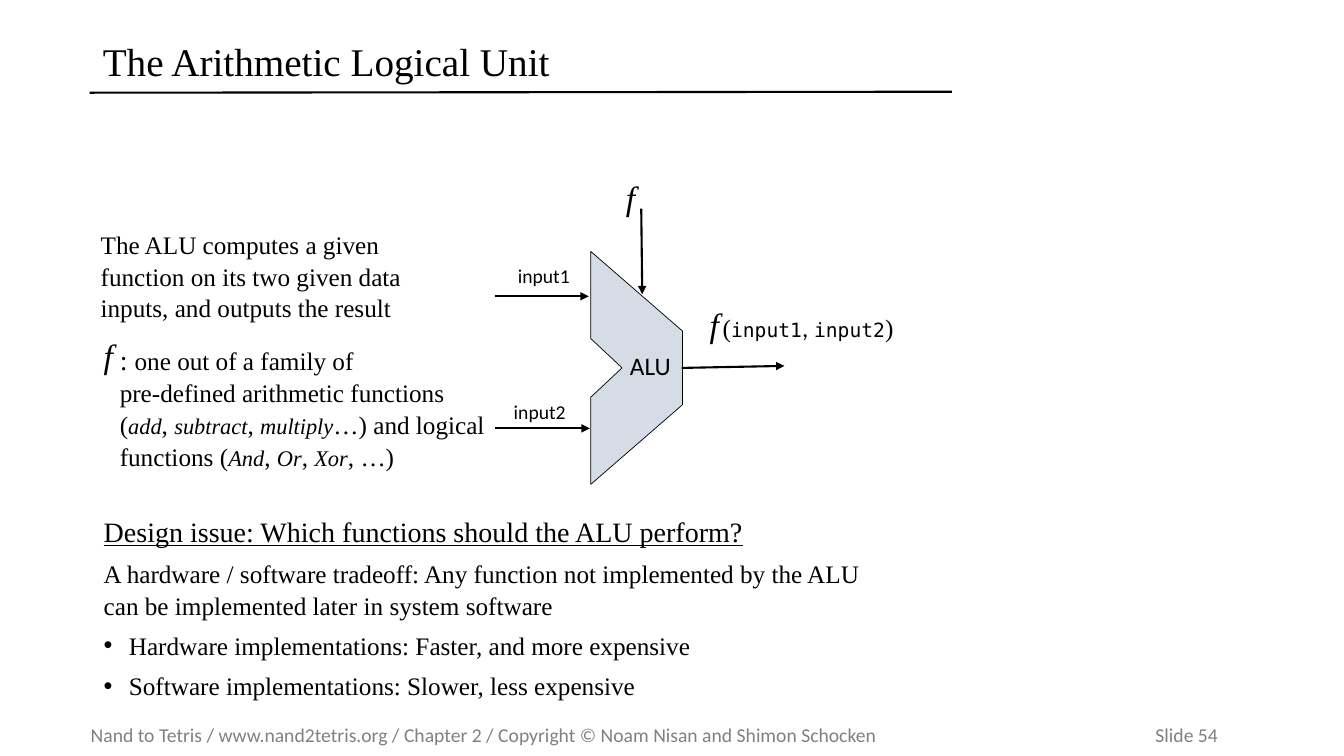
from lxml import etree
from pptx import Presentation
from pptx.dml.color import RGBColor
from pptx.enum.shapes import MSO_CONNECTOR
from pptx.enum.text import MSO_ANCHOR, PP_ALIGN
from pptx.oxml.ns import qn
from pptx.util import Inches, Pt

LEFT, RIGHT, MIDDLE = PP_ALIGN.LEFT, PP_ALIGN.RIGHT, MSO_ANCHOR.MIDDLE
STRAIGHT = MSO_CONNECTOR.STRAIGHT
WIDE, HIGH = 13.33, 7.5
COLOR = {"ink": "000000", "gray": "808080", "unit": "D6DCE5"}
SERIF, SANS, MONO = "Times New Roman", "Calibri", "DejaVu Sans Mono"

# A run is (text, size, font, style); style letters: i italic, u underline.
TITLE = ("The Arithmetic Logical Unit", 28, SERIF, "")
FOOTER = ("Nand to Tetris / www.nand2tetris.org / Chapter 2 / "
          "Copyright © Noam Nisan and Shimon Schocken\tSlide 54", 14, SANS, "")
FUNC = ("f", 24, SERIF, "i")


def serif(text, size=18, style=""):
    return text, size, SERIF, style


def terms(*names):
    """Small italic names with upright commas between them."""
    runs = []
    for name in names:
        runs += [serif(", ")] if runs else []
        runs.append(serif(name, 16, "i"))
    return runs


INTRO = [serif("The ALU computes a given function on its two given data "
               "inputs, and outputs the result")]
FAMILY = [serif(": ", 20),
          serif("one out of a family of\npre-defined arithmetic functions ("),
          *terms("add", "subtract", "multiply"),
          serif("…) and logical functions ("),
          *terms("And", "Or", "Xor"), serif(", …)")]
RESULT = [serif("("), ("input1", 14, MONO, ""), (", ", 18, SANS, ""),
          ("input2", 14, MONO, ""), serif(")")]
ISSUE = [serif("Design issue: Which functions should the ALU perform?", 20, "u")]
TRADEOFF = [serif("A hardware / software tradeoff: Any function not implemented "
                  "by the ALU\ncan be implemented later in system software")]
BULLETS = ["Hardware implementations: Faster, and more expensive",
           "Software implementations: Slower, less expensive"]

# Unit outline: left and right edges, mid height, and half heights.
X0, X1, MID = 5.86, 6.77, 3.65
TALL, SHORT, GAP, NOTCH = 1.155, 0.365, 0.29, 0.31
OUTLINE = [(X0, MID - TALL), (X1, MID - SHORT), (X1, MID + SHORT),
           (X0, MID + TALL), (X0, MID + GAP), (X0 + NOTCH, MID), (X0, MID - GAP)]
ARROWS = [(4.91, 2.94, 5.84, 2.94), (4.91, 4.25, 5.85, 4.25),
          (6.76, 3.65, 7.78, 3.63), (6.36, 2.07, 6.37, 2.92)]
RULE = (0.89, 0.92, 9.44, 0.91)
INPUTS = [("input1", 4.75, 2.57), ("input2", 4.71, 3.92)]
FUNCS = [(6.94, 2.97), (6.11, 1.71), (0.93, 3.27)]

deck = Presentation()
deck.slide_width, deck.slide_height = Inches(WIDE), Inches(HIGH)
slide = deck.slides.add_slide(deck.slide_layouts[5])
shapes = slide.shapes


def paint(name):
    return RGBColor.from_string(COLOR[name])


def write(para, runs, color="ink"):
    for text, size, face, style in runs:
        for i, part in enumerate(text.split("\n")):
            if i:
                para.add_line_break()
            run = para.add_run()
            run.text = part
            font = run.font
            font.size, font.name = Pt(size), face
            font.italic, font.underline = "i" in style, "u" in style
            font.color.rgb = paint(color)


def box(at, runs, align=LEFT, space=1.0, color="ink"):
    frame = shapes.add_textbox(*map(Inches, at)).text_frame
    frame.word_wrap = True
    para = frame.paragraphs[0]
    para.alignment, para.line_spacing = align, space
    write(para, runs, color)
    return frame


def line(ends, arrow=False):
    link = shapes.add_connector(STRAIGHT, *map(Inches, ends))
    link.line.color.rgb, link.line.width = paint("ink"), Pt(1.5)
    if arrow:
        etree.SubElement(link.line._get_or_add_ln(), qn("a:tailEnd"), type="triangle")
    etree.SubElement(link._element.spPr, qn("a:effectLst"))


# Title and footer
head = shapes.title
head.left, head.top, head.width, head.height = map(Inches, (0.92, 0.32, 8.53, 0.63))
frame = head.text_frame
frame.vertical_anchor = MIDDLE
para = frame.paragraphs[0]
para.alignment, para.line_spacing = LEFT, 0.9
write(para, [TITLE])
line(RULE)

foot = box((0.9, 7.12, 12.25, 0.34), [FOOTER], color="gray")
foot.margin_left = foot.margin_right = 0
foot.vertical_anchor = MIDDLE
tabs = etree.SubElement(foot.paragraphs[0]._p.get_or_add_pPr(), qn("a:tabLst"))
etree.SubElement(tabs, qn("a:tab"), pos=str(Inches(10.56)), algn="l")

# Diagram
points = [(Inches(x), Inches(y)) for x, y in OUTLINE]
form = shapes.build_freeform(*points[0])
form.add_line_segments(points[1:], close=True)
unit = form.convert_to_shape()
unit.shadow.inherit = False
unit.fill.solid()
unit.fill.fore_color.rgb = paint("unit")
unit.line.color.rgb, unit.line.width = paint("ink"), Pt(0.5)
box((6.15, 3.43, 0.64, 0.4), [("ALU", 18, SANS, "")])
for ends in ARROWS:
    line(ends, arrow=True)
for name, x, y in INPUTS:
    box((x, y, 1, 0.34), [(name, 14, SANS, "")], RIGHT)
for x, y in FUNCS:
    box((x, y, 0.56, 0.5), [FUNC])
box((7.07, 3.05, 2.23, 0.4), RESULT)

# Explanations
box((0.9, 2.21, 3.61, 1.44), INTRO, space=1.05)
box((1.09, 3.33, 3.84, 1.79), FAMILY, space=1.05)
issue = box((0.93, 5.09, 8.48, 2.02), ISSUE, space=0.9)
for runs in [TRADEOFF] + [[serif(text)] for text in BULLETS]:
    para = issue.add_paragraph()
    para.space_before, para.line_spacing = Pt(6), 1.05
    if runs is not TRADEOFF:
        props = para._p.get_or_add_pPr()
        props.set("marL", str(Inches(0.25)))
        props.set("indent", str(-Inches(0.25)))
        etree.SubElement(props, qn("a:buFont"), typeface="Arial")
        etree.SubElement(props, qn("a:buChar"), char="•")
    write(para, runs)

deck.save("out.pptx")
